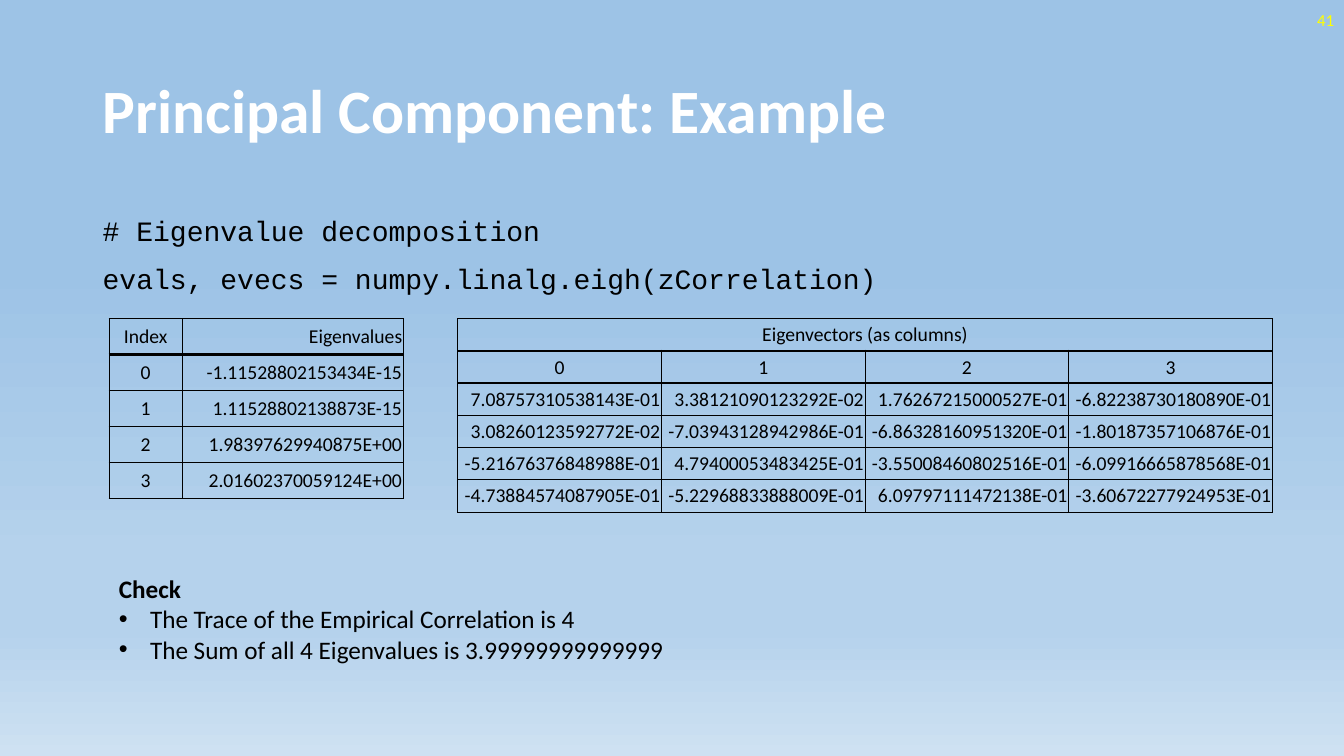
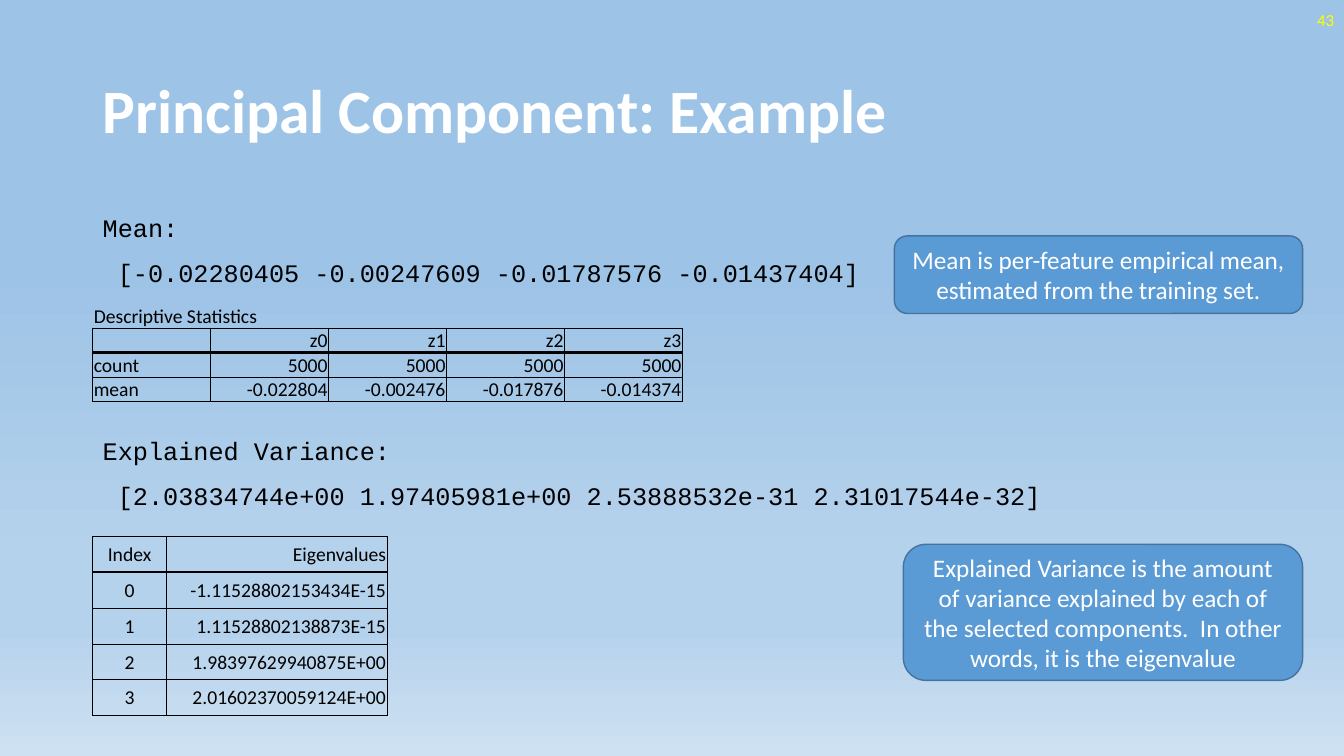
import dataclasses
import typing

import lxml.etree
import pptx
import pptx.dml.color
import pptx.enum.shapes
import pptx.enum.text
import pptx.oxml.ns
import pptx.util

Inches = pptx.util.Inches
Pt = pptx.util.Pt
qn = pptx.oxml.ns.qn
Align = pptx.enum.text.PP_ALIGN
Anchor = pptx.enum.text.MSO_ANCHOR

COLORS = {
    "text": "000000", "title": "FFFFFF", "number": "FFFF00", "border": "000000",
    "callout": "5B9BD5", "callout_line": "43739E",
    "sky": "9DC3E6", "haze": "B5D2EC", "horizon": "CEE1F2",
}
SKY_STOPS = ((35, "sky"), (74, "haze"), (83, "haze"), (100, "horizon"))
ALIGNMENTS = {"l": Align.LEFT, "c": Align.CENTER, "r": Align.RIGHT}


@dataclasses.dataclass(frozen=True)
class TextStyle:
    size: int
    font: str = "Calibri"
    color: str = "text"
    bold: bool = False


@dataclasses.dataclass(frozen=True)
class Frame:
    left: float
    top: float
    width: float
    height: float

    def lengths(self) -> tuple:
        return tuple(Inches(value) for value in dataclasses.astuple(self))


@dataclasses.dataclass(frozen=True)
class TableSpec:
    rows: tuple
    aligns: tuple              # one letter per column, one string per row
    widths: tuple
    row_height: float
    heavy_below: tuple         # rows closed by a thick rule
    banner: bool = False       # first row spans the table
    banner_box: bool = True    # the spanning row has all four borders


@dataclasses.dataclass(frozen=True)
class Callout:
    frame: Frame
    text: str


TITLE = TextStyle(44, color="title", bold=True)
NUMBER = TextStyle(12, color="number")
CELL = TextStyle(14)
NOTE = TextStyle(18)
NOTE_HEAD = TextStyle(18, bold=True)
CALLOUT = TextStyle(18, color="title")
CODE = TextStyle(20, "Courier New")
OUTPUT = TextStyle(18, "Courier New")

EIGENVALUES = TableSpec(
    rows=(("Index", "Eigenvalues"),
          ("0", "-1.11528802153434E-15"),
          ("1", "1.11528802138873E-15"),
          ("2", "1.98397629940875E+00"),
          ("3", "2.01602370059124E+00")),
    aligns=("cr",) * 5, widths=(0.73, 2.19), row_height=0.356, heavy_below=(0,))

EIGENVECTORS = TableSpec(
    rows=(("Eigenvectors (as columns)", "", "", ""),
          ("0", "1", "2", "3"),
          ("7.08757310538143E-01", "3.38121090123292E-02",
           "1.76267215000527E-01", "-6.82238730180890E-01"),
          ("3.08260123592772E-02", "-7.03943128942986E-01",
           "-6.86328160951320E-01", "-1.80187357106876E-01"),
          ("-5.21676376848988E-01", "4.79400053483425E-01",
           "-3.55008460802516E-01", "-6.09916665878568E-01"),
          ("-4.73884574087905E-01", "-5.22968833888009E-01",
           "6.09797111472138E-01", "-3.60672277924953E-01")),
    aligns=("cccc",) * 2 + ("rrrr",) * 4, widths=(2.02,) * 4, row_height=0.32,
    heavy_below=(0, 1), banner=True)

STATISTICS = TableSpec(
    rows=(("Descriptive Statistics", "", "", "", ""),
          ("", "z0", "z1", "z2", "z3"),
          ("count", "5000", "5000", "5000", "5000"),
          ("mean", "-0.022804", "-0.002476", "-0.017876", "-0.014374")),
    aligns=("lrrrr",) * 4, widths=(1.17,) * 5, row_height=0.24,
    heavy_below=(1,), banner=True, banner_box=False)

CALLOUTS = (
    Callout(Frame(8.87, 2.34, 4.05, 0.77),
            "Mean is per-feature empirical mean, estimated from the training set."),
    Callout(Frame(8.96, 5.4, 3.96, 1.35),
            "Explained Variance is the amount of variance explained by each of the "
            "selected components.  In other words, it is the eigenvalue"),
)


def rgb(name: str) -> pptx.dml.color.RGBColor:
    return pptx.dml.color.RGBColor.from_string(COLORS[name])


def add_span(para: typing.Any, text: str, style: TextStyle) -> None:
    span = para.add_run()
    span.text = text
    span.font.size = Pt(style.size)
    span.font.name = style.font
    span.font.bold = style.bold
    span.font.color.rgb = rgb(style.color)


def add_box(page: typing.Any, frame: Frame) -> typing.Any:
    text_frame = page.shapes.add_textbox(*frame.lengths()).text_frame
    text_frame.word_wrap = True
    return text_frame


def next_para(text_frame: typing.Any, index: int) -> typing.Any:
    return text_frame.add_paragraph() if index else text_frame.paragraphs[0]


# Shared look: background, title, page number
def paint_background(deck: typing.Any) -> None:
    master = deck.slide_master
    fill = master.background.fill
    fill.gradient()
    fill.gradient_angle = 270
    stops = master.element.find(".//" + qn("a:gsLst"))
    for old in list(stops):
        stops.remove(old)
    for percent, color in SKY_STOPS:
        stop = lxml.etree.SubElement(stops, qn("a:gs"), pos=str(percent * 1000))
        lxml.etree.SubElement(stop, qn("a:srgbClr"), val=COLORS[color])


def add_page(deck: typing.Any, title: str, number: str) -> typing.Any:
    page = deck.slides.add_slide(deck.slide_layouts[5])
    heading = page.shapes.title
    heading.left, heading.top, heading.width, heading.height = Frame(
        0.92, 0.4, 11.5, 1.45).lengths()
    heading.text_frame.auto_size = pptx.enum.text.MSO_AUTO_SIZE.NONE
    heading.text_frame.vertical_anchor = Anchor.MIDDLE
    para = heading.text_frame.paragraphs[0]
    para.alignment = Align.LEFT
    para.line_spacing = 0.9
    add_span(para, title, TITLE)

    number_box = add_box(page, Frame(10.33, 0, 3, 0.4))
    number_box.vertical_anchor = Anchor.MIDDLE
    number_box.paragraphs[0].alignment = Align.RIGHT
    add_span(number_box.paragraphs[0], number, NUMBER)
    return page


# Content parts
def draw_code(page: typing.Any, top: float, lines: tuple, style: TextStyle) -> None:
    text_frame = add_box(page, Frame(0.92, top, 11.5, 1))
    for index, line in enumerate(lines):
        para = next_para(text_frame, index)
        para.line_spacing = 1.2
        para.space_before = Pt(6)
        add_span(para, line, style)


def draw_check(page: typing.Any, heading: str, points: tuple) -> None:
    text_frame = add_box(page, Frame(1.08, 5.64, 10.34, 1.01))
    add_span(text_frame.paragraphs[0], heading, NOTE_HEAD)
    indent = Inches(0.31)
    for point in points:
        para = text_frame.add_paragraph()
        add_span(para, point, NOTE)
        properties = para._p.get_or_add_pPr()
        properties.set("marL", str(indent))
        properties.set("indent", str(-indent))
        lxml.etree.SubElement(properties, qn("a:buFont"), typeface="Arial")
        lxml.etree.SubElement(properties, qn("a:buChar"), char="•")


def set_borders(cell: typing.Any, widths: dict) -> None:
    properties = cell._tc.get_or_add_tcPr()
    for side, width in widths.items():
        line = lxml.etree.SubElement(properties, qn("a:ln" + side), w=str(Pt(width)))
        if width:
            fill = lxml.etree.SubElement(line, qn("a:solidFill"))
            lxml.etree.SubElement(fill, qn("a:srgbClr"), val=COLORS["border"])
        else:
            lxml.etree.SubElement(line, qn("a:noFill"))


def fill_cell(cell: typing.Any, text: str, align: str, borders: dict) -> None:
    cell.margin_left = cell.margin_right = cell.margin_top = Inches(0.01)
    cell.margin_bottom = 0
    cell.vertical_anchor = Anchor.MIDDLE
    set_borders(cell, borders)
    cell.fill.background()
    para = cell.text_frame.paragraphs[0]
    para.alignment = ALIGNMENTS[align]
    if text:
        add_span(para, text, CELL)
    else:
        lxml.etree.SubElement(para._p, qn("a:endParaRPr"), sz=str(CELL.size * 100))


def draw_table(page: typing.Any, spec: TableSpec, left: float, top: float) -> None:
    frame = Frame(left, top, sum(spec.widths), spec.row_height * len(spec.rows))
    table = page.shapes.add_table(
        len(spec.rows), len(spec.widths), *frame.lengths()).table
    table.first_row = table.horz_banding = False
    for column, width in zip(table.columns, spec.widths):
        column.width = Inches(width)
    for row_index, texts in enumerate(spec.rows):
        table.rows[row_index].height = Inches(spec.row_height)
        open_sides = spec.banner and not spec.banner_box and row_index == 0
        side = 0 if open_sides else 0.5
        borders = {"L": side, "R": side,
                   "T": 2 if row_index - 1 in spec.heavy_below else side,
                   "B": 2 if row_index in spec.heavy_below else 0.5}
        for column_index, text in enumerate(texts):
            fill_cell(table.cell(row_index, column_index), text,
                      spec.aligns[row_index][column_index], borders)
    if spec.banner:
        table.cell(0, 0).merge(table.cell(0, len(spec.widths) - 1))


def draw_callout(page: typing.Any, callout: Callout) -> None:
    shape = page.shapes.add_shape(
        pptx.enum.shapes.MSO_SHAPE.ROUNDED_RECTANGLE, *callout.frame.lengths())
    shape.shadow.inherit = False
    shape.fill.solid()
    shape.fill.fore_color.rgb = rgb("callout")
    shape.line.color.rgb = rgb("callout_line")
    shape.line.width = Pt(1)
    shape.text_frame.word_wrap = True
    shape.text_frame.vertical_anchor = Anchor.MIDDLE
    para = shape.text_frame.paragraphs[0]
    para.alignment = Align.CENTER
    add_span(para, callout.text, CALLOUT)


# Slides
def build_decomposition(deck: typing.Any) -> None:
    page = add_page(deck, "Principal Component: Example", "41")
    draw_code(page, 2, ("# Eigenvalue decomposition",
                        "evals, evecs = numpy.linalg.eigh(zCorrelation)"), CODE)
    draw_table(page, EIGENVALUES, 1.08, 3.16)
    draw_table(page, EIGENVECTORS, 4.54, 3.16)
    draw_check(page, "Check", ("The Trace of the Empirical Correlation is 4",
                               "The Sum of all 4 Eigenvalues is 3.99999999999999"))


def build_variance(deck: typing.Any) -> None:
    page = add_page(deck, "Principal Component: Example", "43")
    draw_code(page, 2, (
        "Mean:", " [-0.02280405 -0.00247609 -0.01787576 -0.01437404]"), OUTPUT)
    draw_code(page, 4.21, (
        "Explained Variance:",
        " [2.03834744e+00 1.97405981e+00 2.53888532e-31 2.31017544e-32]"), OUTPUT)
    draw_table(page, STATISTICS, 0.92, 3.01)
    draw_table(page, EIGENVALUES, 0.92, 5.32)
    for callout in CALLOUTS:
        draw_callout(page, callout)


def main() -> None:
    deck = pptx.Presentation()
    deck.slide_width, deck.slide_height = Inches(13.33), Inches(7.5)
    paint_background(deck)
    build_decomposition(deck)
    build_variance(deck)
    deck.save("out.pptx")


if __name__ == "__main__":
    main()
